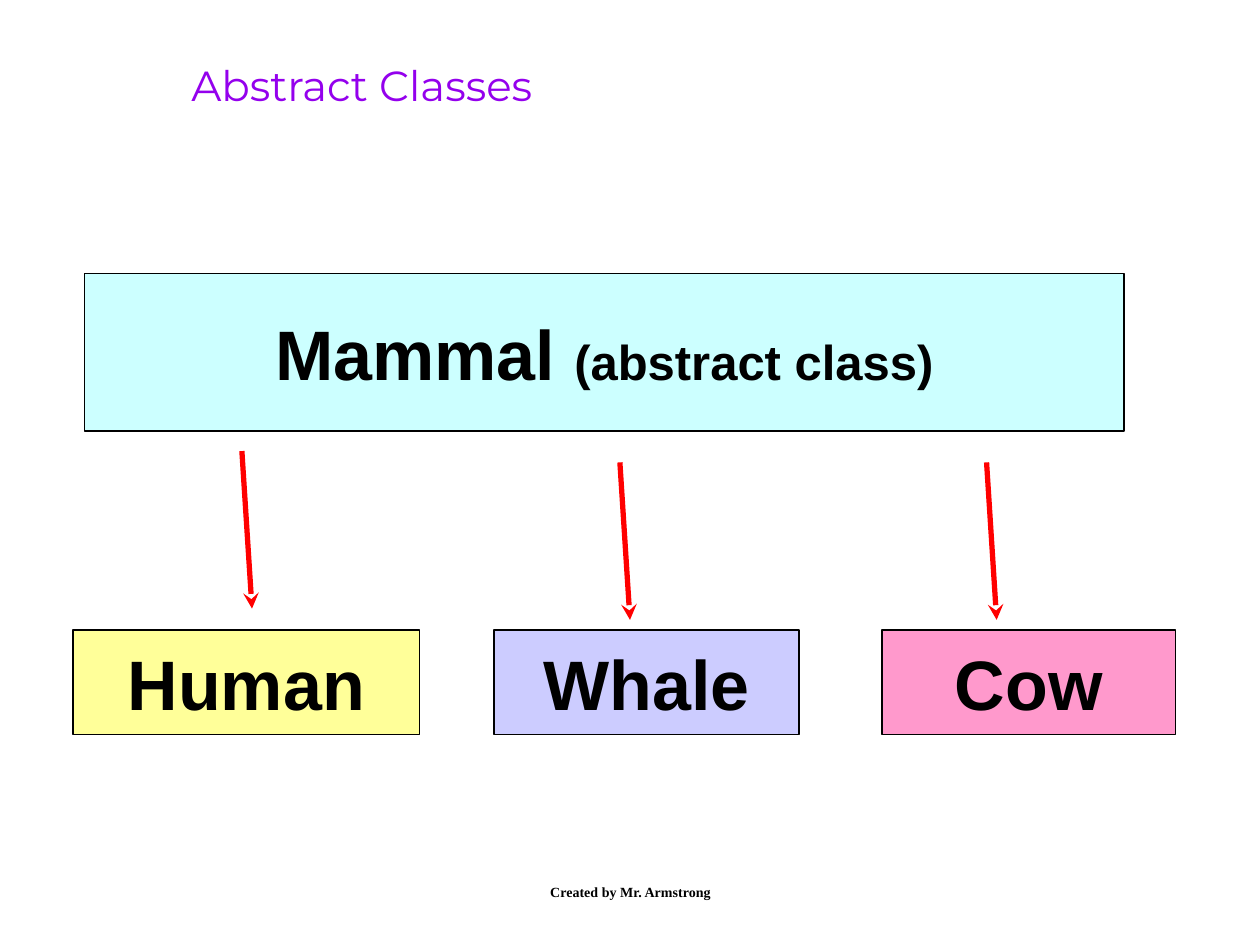
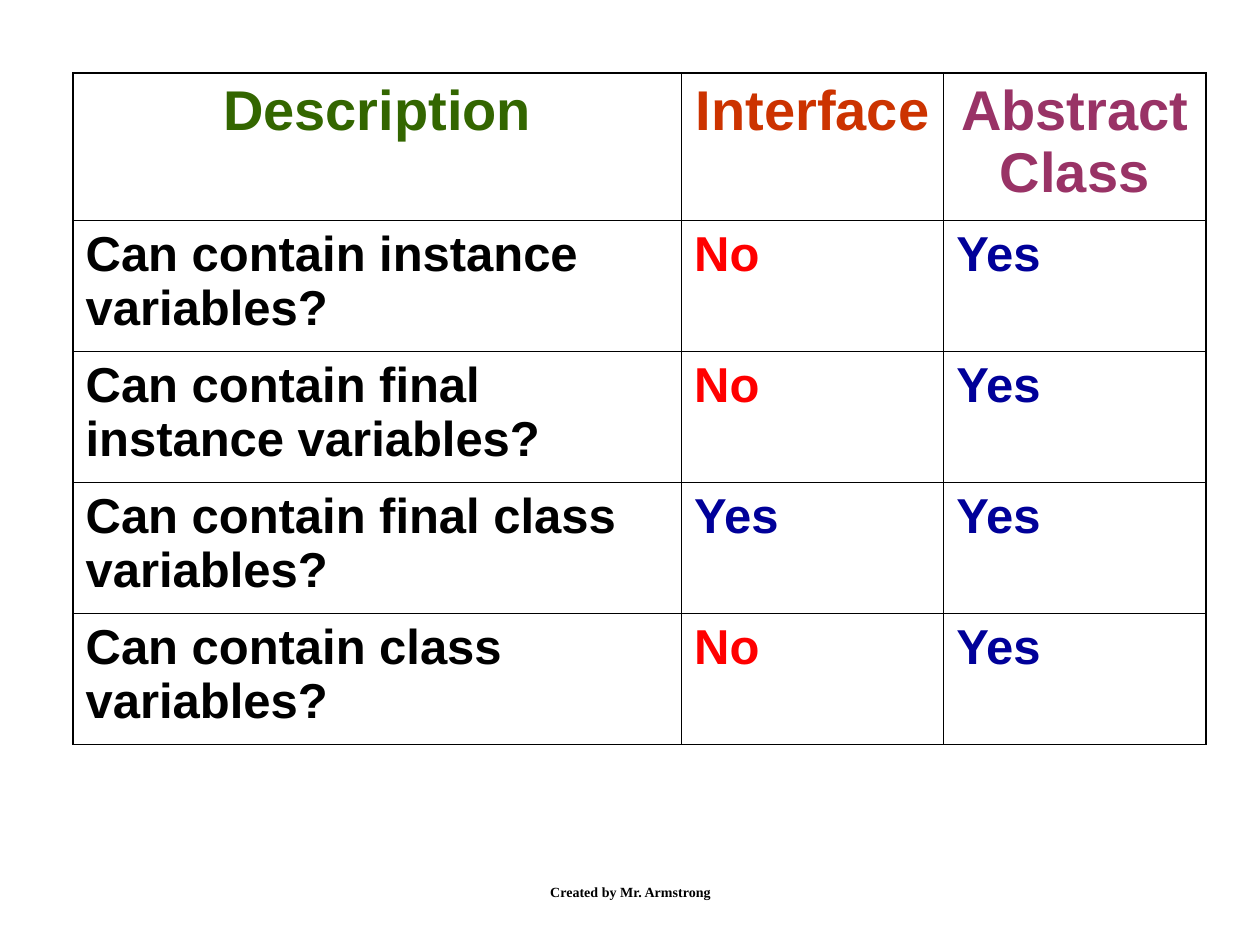
from dataclasses import dataclass

from lxml.etree import SubElement
from pptx import Presentation
from pptx.dml.color import RGBColor
from pptx.enum.shapes import MSO_CONNECTOR as Connector, MSO_SHAPE as Shape
from pptx.enum.text import MSO_ANCHOR as Anchor, PP_ALIGN as Align
from pptx.oxml.ns import qn
from pptx.util import Inches, Pt

# Shared style
BLACK, RED, BLUE = "000000", "FF0000", "000099"
BODY_FONT, TITLE_FONT, FOOTER_FONT = "Arial", "Montserrat", "Times New Roman"
TITLE_GRADIENT = ("9400ED", "0000FF")
FOOTER = "Created by Mr. Armstrong"
OUTER_BORDER, INNER_BORDER = 1.08, 0.45


@dataclass(frozen=True)
class Span:
    text: str
    size: float
    color: str = BLACK
    font: str = BODY_FONT
    bold: bool = True


@dataclass(frozen=True)
class ClassBox:
    left: float
    top: float
    width: float
    height: float
    fill: str
    spans: tuple[Span, ...]


@dataclass(frozen=True)
class Arrow:
    left: float
    top: float


# Class diagram
CHILD_TOP, CHILD_HEIGHT = 5, 0.83
ARROW_RUN, ARROW_DROP = 0.08, 1.25
CLASS_BOXES = (
    ClassBox(0.67, 2.17, 8.25, 1.25, "CCFFFF",
             (Span("Mammal ", 40), Span("(abstract class)", 28))),
    ClassBox(0.58, CHILD_TOP, 2.75, CHILD_HEIGHT, "FFFF99", (Span("Human", 40),)),
    ClassBox(3.92, CHILD_TOP, 2.42, CHILD_HEIGHT, "CCCCFF", (Span("Whale", 40),)),
    ClassBox(7, CHILD_TOP, 2.33, CHILD_HEIGHT, "FF99CC", (Span("Cow", 40),)),
)
ARROWS = (Arrow(1.92, 3.58), Arrow(4.92, 3.67), Arrow(7.83, 3.67))

# Comparison table
HEADERS = (("Description", "336600"), ("Interface", "CC3300"), ("Abstract Class", "993366"))
ANSWERS = (
    ("Can contain instance variables?", "No", "Yes"),
    ("Can contain final instance variables?", "No", "Yes"),
    ("Can contain final class variables?", "Yes", "Yes"),
    ("Can contain class variables?", "No", "Yes"),
)
ANSWER_COLORS = {"No": RED, "Yes": BLUE}
COLUMN_WIDTHS = (4.83, 2.08, 2.08)
HEADER_HEIGHT, ANSWER_HEIGHT = 1.17, 1.04


def rgb(color: str) -> RGBColor:
    return RGBColor.from_string(color)


def write(frame, spans: tuple[Span, ...], align: Align, space_before: float = 0) -> None:
    para = frame.paragraphs[0]
    para.alignment = align
    para.space_before = Pt(space_before)
    for span in spans:
        run = para.add_run()
        run.text = span.text
        run.font.name = span.font
        run.font.size = Pt(span.size)
        run.font.bold = span.bold
        run.font.color.rgb = rgb(span.color)


def add_title(page, text: str) -> None:
    box = page.shapes.add_textbox(Inches(1.42), Inches(0.42), Inches(6.83), Inches(0.83))
    frame = box.text_frame
    frame.word_wrap = False
    write(frame, (Span(text, 24, TITLE_GRADIENT[0], TITLE_FONT, False),), Align.LEFT)
    fill = frame.paragraphs[0].runs[0].font.fill
    fill.gradient()
    fill.gradient_angle = 180
    for stop, color in zip(fill.gradient_stops, TITLE_GRADIENT):
        stop.color.rgb = rgb(color)


def add_footer(page) -> None:
    box = page.shapes.add_textbox(Inches(3.42), Inches(6.83), Inches(3.17), Inches(0.5))
    frame = box.text_frame
    frame.word_wrap = True
    frame.vertical_anchor = Anchor.MIDDLE
    write(frame, (Span(FOOTER, 8, font=FOOTER_FONT),), Align.CENTER)


def add_class_box(page, item: ClassBox) -> None:
    box = page.shapes.add_shape(Shape.RECTANGLE, Inches(item.left), Inches(item.top),
                                Inches(item.width), Inches(item.height))
    box.shadow.inherit = False
    box.fill.solid()
    box.fill.fore_color.rgb = rgb(item.fill)
    box.line.color.rgb = rgb(BLACK)
    box.line.width = Pt(1)
    frame = box.text_frame
    frame.word_wrap = False
    frame.vertical_anchor = Anchor.MIDDLE
    write(frame, item.spans, Align.CENTER)


def add_arrow(page, arrow: Arrow) -> None:
    line = page.shapes.add_connector(
        Connector.STRAIGHT, Inches(arrow.left), Inches(arrow.top),
        Inches(arrow.left + ARROW_RUN), Inches(arrow.top + ARROW_DROP))
    line.line.color.rgb = rgb(RED)
    line.line.width = Pt(3)
    SubElement(line.line._get_or_add_ln(), qn("a:tailEnd"), type="stealth")
    SubElement(line._element.spPr, qn("a:effectLst"))


def set_borders(cell, outer_sides: dict[str, bool]) -> None:
    properties = cell._tc.get_or_add_tcPr()
    for side, is_outer in outer_sides.items():
        width = Pt(OUTER_BORDER if is_outer else INNER_BORDER)
        border = SubElement(properties, qn(f"a:ln{side}"), w=str(width))
        SubElement(SubElement(border, qn("a:solidFill")), qn("a:srgbClr"), val=BLACK)


def add_comparison(page) -> None:
    heights = (HEADER_HEIGHT,) + (ANSWER_HEIGHT,) * len(ANSWERS)
    table = page.shapes.add_table(
        len(heights), len(COLUMN_WIDTHS), Inches(0.58), Inches(0.58),
        Inches(sum(COLUMN_WIDTHS)), Inches(sum(heights))).table
    table.first_row = table.horz_banding = False
    for column, width in zip(table.columns, COLUMN_WIDTHS):
        column.width = Inches(width)
    for row, height in zip(table.rows, heights):
        row.height = Inches(height)

    # Header row, then one row per question
    rows = [[Span(text, 32, color) for text, color in HEADERS]]
    rows += [[Span(text, 28, ANSWER_COLORS.get(text, BLACK)) for text in answers]
             for answers in ANSWERS]
    last_row, last_column = len(rows) - 1, len(COLUMN_WIDTHS) - 1
    for r, spans in enumerate(rows):
        for c, span in enumerate(spans):
            cell = table.cell(r, c)
            set_borders(cell, {"L": c == 0, "R": c == last_column,
                               "T": r == 0, "B": r == last_row})
            cell.fill.background()
            is_header = r == 0
            write(cell.text_frame, (span,), Align.CENTER if is_header else Align.LEFT,
                  8 if is_header else 7)


def main() -> None:
    deck = Presentation()
    deck.slide_width, deck.slide_height = Inches(10), Inches(7.5)
    blank = deck.slide_layouts[6]

    # Slide 1: class diagram
    page = deck.slides.add_slide(blank)
    add_title(page, "Abstract Classes")
    for item in CLASS_BOXES:
        add_class_box(page, item)
    for arrow in ARROWS:
        add_arrow(page, arrow)
    add_footer(page)

    # Slide 2: interface and abstract class compared
    page = deck.slides.add_slide(blank)
    add_comparison(page)
    add_footer(page)

    deck.save("out.pptx")


if __name__ == "__main__":
    main()
